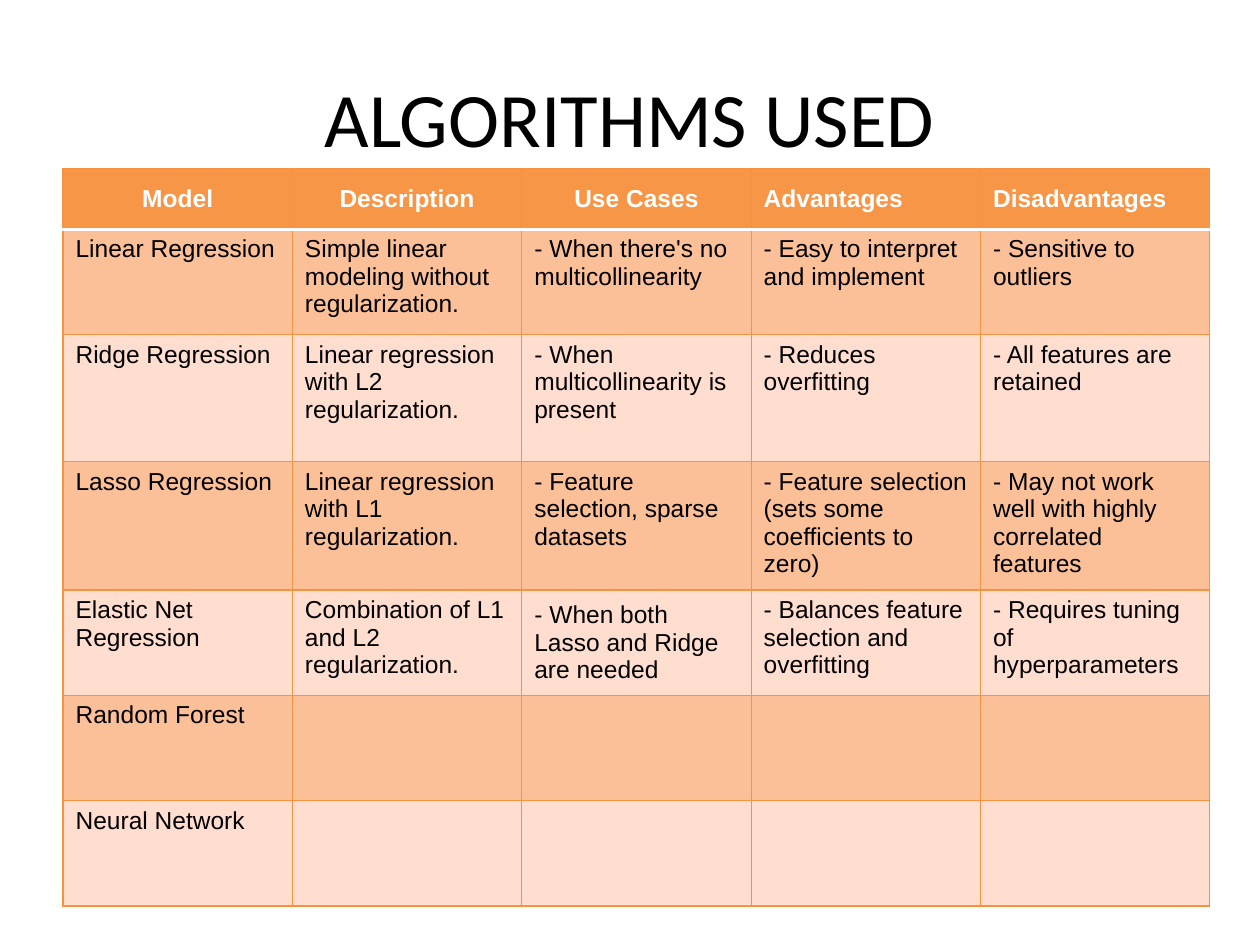
from dataclasses import dataclass

from lxml.etree import SubElement
from pptx import Presentation
from pptx.dml.color import RGBColor
from pptx.enum.text import MSO_ANCHOR, PP_ALIGN
from pptx.oxml.ns import qn
from pptx.util import Pt


@dataclass(frozen=True)
class Theme:
    head: str = "F79646"
    dark: str = "FCC099"
    light: str = "FFDDCF"
    edge: str = "F69240"
    white: str = "FFFFFF"
    black: str = "000000"
    sans: str = "Arial"
    base: str = "Calibri"
    big: float = 44
    mid: float = 14
    thin: float = 0.75
    thick: float = 2


@dataclass(frozen=True)
class Box:
    left: float
    top: float
    width: float
    height: float

    def place(self) -> tuple:
        return Pt(self.left), Pt(self.top), Pt(self.width), Pt(self.height)


@dataclass(frozen=True)
class Row:
    height: float
    texts: tuple


THEME = Theme()
TITLE = Box(36, 21.6, 648, 90)
GRID = Box(36, 96.2, 655.5, 422.1)
ROWS = (
    Row(34.8, ("Model", "Description", "Use Cases", "Advantages", "Disadvantages")),
    Row(60.2, ("Linear Regression", "Simple linear modeling without regularization.",
               "- When there's no multicollinearity", "- Easy to interpret and implement",
               "- Sensitive to outliers")),
    Row(72.6, ("Ridge Regression", "Linear regression with L2 regularization.",
               "- When multicollinearity is present", "- Reduces overfitting",
               "- All features are retained")),
    Row(73.4, ("Lasso Regression", "Linear regression with L1 regularization.",
               "- Feature selection, sparse datasets",
               "- Feature selection (sets some coefficients to zero)",
               "- May not work well with highly correlated features")),
    Row(60.2, ("Elastic Net Regression", "Combination of L1 and L2 regularization.",
               "- When both Lasso and Ridge are needed",
               "- Balances feature selection and overfitting",
               "- Requires tuning of hyperparameters")),
    Row(60.2, ("Random Forest", "", "", "", "")),
    Row(60.2, ("Neural Network", "", "", "", "")),
)


def write(frame, text: str, size: float, font: str, color: str,
          align=PP_ALIGN.LEFT, bold: bool = False) -> None:
    frame.text = text
    for para in frame.paragraphs:
        para.alignment = align
        para.font.size = Pt(size)
        for run in para.runs:
            run.font.size = Pt(size)
            run.font.name = font
            run.font.bold = bold
            run.font.color.rgb = RGBColor.from_string(color)


def border(cell, side: str, color: str, width: float) -> None:
    line = SubElement(cell._tc.get_or_add_tcPr(), qn(f"a:ln{side}"), w=str(Pt(width)))
    SubElement(SubElement(line, qn("a:solidFill")), qn("a:srgbClr"), val=color)


def draw_cell(cell, text: str, row: int, col: int) -> None:
    head = row == 0
    center = head and col < 3
    write(cell.text_frame, text, THEME.mid, THEME.sans,
          THEME.white if head else THEME.black,
          PP_ALIGN.CENTER if center else PP_ALIGN.LEFT, head)
    middle = head or (row, col) == (4, 2)
    cell.vertical_anchor = MSO_ANCHOR.MIDDLE if middle else MSO_ANCHOR.TOP
    rule = {side: (THEME.edge, THEME.thin) for side in "LRTB"}
    if row < 2:
        rule["B" if head else "T"] = (THEME.white, THEME.thick)
    for side, (color, width) in rule.items():
        border(cell, side, color, width)
    fill = THEME.head if head else THEME.dark if row % 2 else THEME.light
    cell.fill.solid()
    cell.fill.fore_color.rgb = RGBColor.from_string(fill)


def draw_table(slide, box: Box, rows: tuple) -> None:
    count = len(rows[0].texts)
    table = slide.shapes.add_table(len(rows), count, *box.place()).table
    table.horz_banding = False
    for col in table.columns:
        col.width = Pt(box.width / count)
    for i, row in enumerate(rows):
        table.rows[i].height = Pt(row.height)
        for j, text in enumerate(row.texts):
            draw_cell(table.cell(i, j), text, i, j)


def draw_title(slide, text: str) -> None:
    title = slide.shapes.title
    title.left, title.top, title.width, title.height = TITLE.place()
    title.text_frame.vertical_anchor = MSO_ANCHOR.MIDDLE
    write(title.text_frame, text, THEME.big, THEME.base, THEME.black, PP_ALIGN.CENTER)


def main() -> None:
    deck = Presentation()
    deck.slide_width, deck.slide_height = Pt(720), Pt(540)
    slide = deck.slides.add_slide(deck.slide_layouts[5])
    draw_title(slide, "ALGORITHMS USED")
    draw_table(slide, GRID, ROWS)
    deck.save("out.pptx")


if __name__ == "__main__":
    main()
